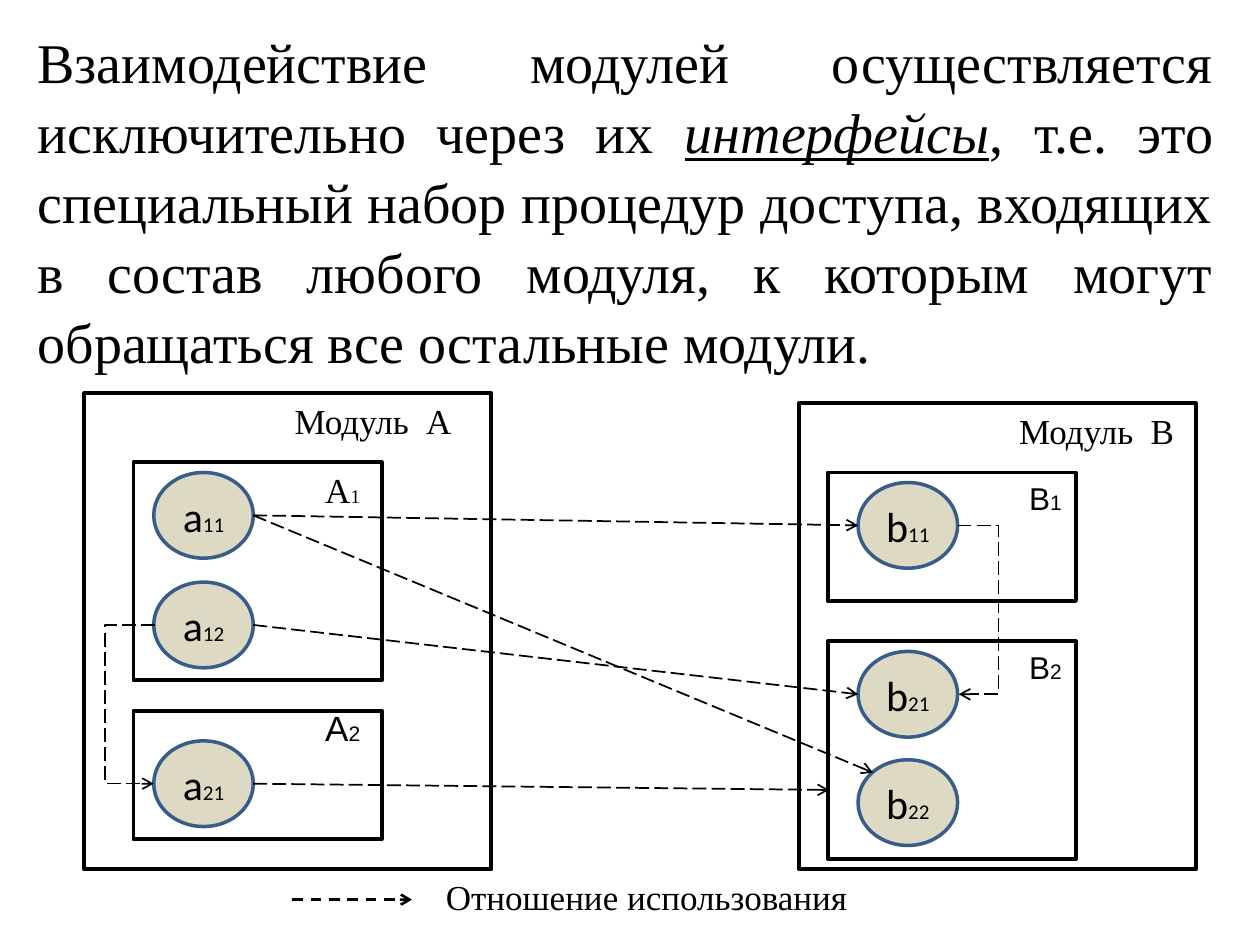
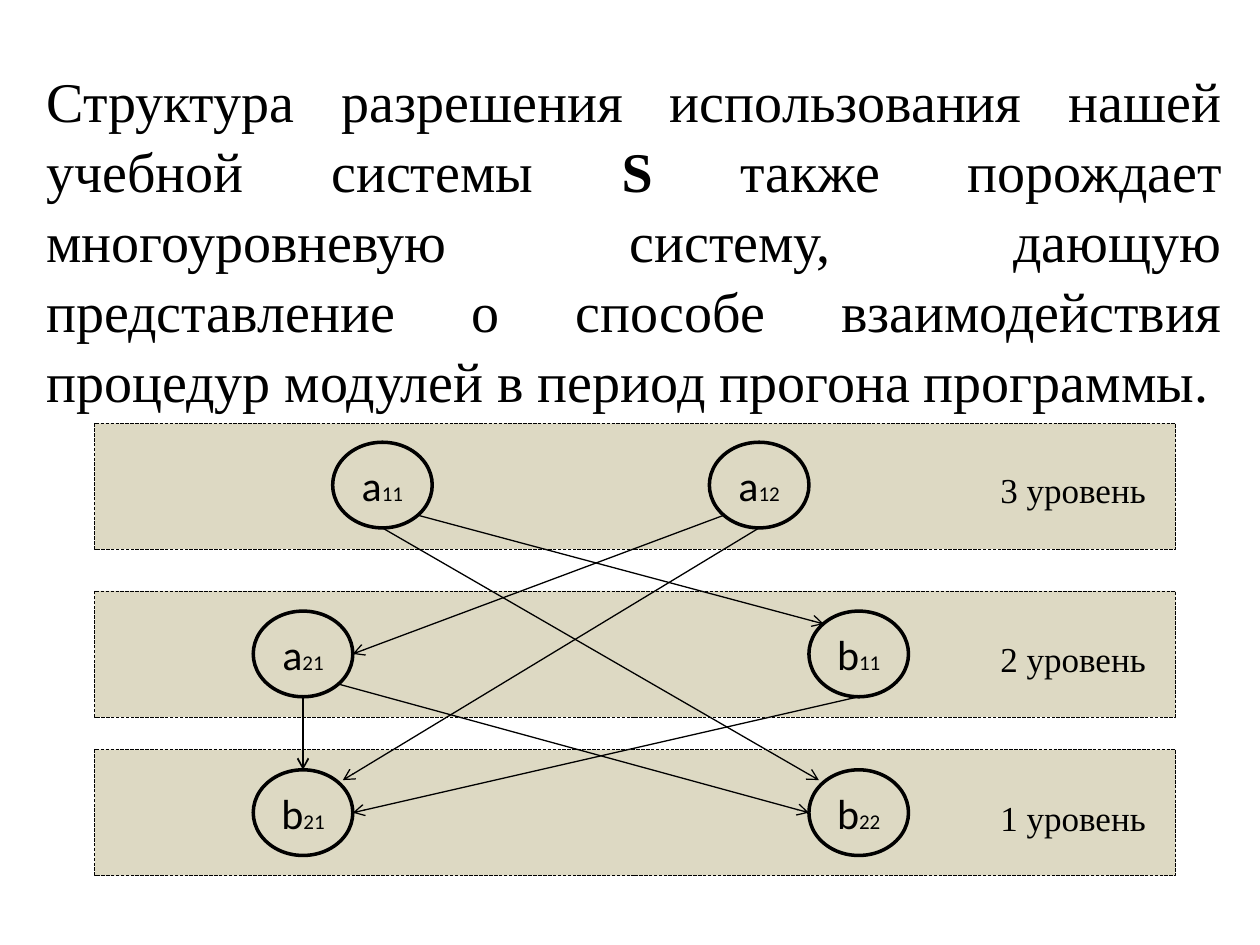
from lxml.etree import SubElement
from pptx import Presentation
from pptx.dml.color import RGBColor
from pptx.enum.dml import MSO_LINE
from pptx.enum.shapes import MSO_CONNECTOR, MSO_SHAPE
from pptx.enum.text import MSO_ANCHOR, PP_ALIGN
from pptx.oxml.ns import qn
from pptx.util import Pt

PX = 9144
BLACK = RGBColor(0x00, 0x00, 0x00)
WHITE = RGBColor(0xFF, 0xFF, 0xFF)
SAND = RGBColor(0xDD, 0xD9, 0xC3)
BLUE = RGBColor(0x38, 0x5D, 0x8A)
SERIF, SANS, NODE_FONT = "Times New Roman", "Arial", "Calibri"
NODE_WIDTH, NODE_HEIGHT = 79, 68
SITES = {
    "left": (0, 0.5), "right": (1, 0.5), "bottom": (0.5, 1),
    "top": (0.5, 0), "top left": (0.15, 0.15), "bottom left": (0.15, 0.85),
    "bottom right": (0.85, 0.85), "near left": (0.1, 0.12), "near right": (0.9, 0.12),
}


def write_text(frame, text, subscript="", size=20, small=12, font=SERIF,
               align=PP_ALIGN.LEFT, wrap=True, spacing=None, emphasis=None):
    frame.word_wrap = wrap
    para = frame.paragraphs[0]
    para.alignment = align
    if spacing:
        para.line_spacing = spacing
    parts = [(text, size), (subscript, small)]
    if emphasis:
        before, after = text.split(emphasis)
        parts = [(before, size), (emphasis, size), (after, size)]
    for words, points in parts:
        if words:
            span = para.add_run()
            span.text = words
            span.font.name = font
            span.font.size = Pt(points)
            span.font.color.rgb = BLACK
    return para


def draw_arrow(page, start, end, width, dash=None, bend_x=None):
    kind = MSO_CONNECTOR.STRAIGHT if bend_x is None else MSO_CONNECTOR.ELBOW
    arrow = page.shapes.add_connector(kind, *(round(value * PX) for value in (*start, *end)))
    arrow.line.color.rgb = BLACK
    arrow.line.width = Pt(width)
    if dash:
        arrow.line.dash_style = dash
    properties = arrow.line._get_or_add_ln()
    SubElement(properties, qn("a:tailEnd"), type="arrow")
    SubElement(arrow._element.spPr, qn("a:effectLst"))
    if bend_x is not None:
        ratio = round((bend_x - start[0]) / (end[0] - start[0]) * 100000)
        guides = arrow._element.spPr.find(qn("a:prstGeom")).find(qn("a:avLst"))
        SubElement(guides, qn("a:gd"), name="adj1", fmla=f"val {ratio}")


MODULES_PAGE = {
    "body": (20, 13, 953, 725),
    "text": "Взаимодействие модулей осуществляется исключительно через их интерфейсы, "
            "т.е. это специальный набор процедур доступа, входящих в состав любого модуля, "
            "к которым могут обращаться все остальные модули.",
    "emphasis": "интерфейсы",
    "frames": [(67, 312, 323, 378), (634, 320, 315, 370),
               (106, 367, 197, 173), (106, 564, 197, 102),
               (657, 375, 197, 102), (657, 509, 197, 173)],
    "frame_style": (WHITE, 2.25, None),
    "node_line": BLUE,
    "nodes": [("а", "11", 122, 375), ("а", "12", 122, 462), ("а", "21", 122, 588),
              ("b", "11", 681, 383), ("b", "21", 681, 517), ("b", "22", 681, 603)],
    "labels": [
        ((248, 556, 48, 44), dict(text="А", subscript="2", font=SANS,
                                  align=PP_ALIGN.CENTER, wrap=False)),
        ((248, 367, 48, 44), dict(text="А", subscript="1", small=11,
                                  align=PP_ALIGN.CENTER, wrap=False)),
        ((807, 375, 47, 40), dict(text="В", subscript="1", size=18, font=SANS)),
        ((807, 509, 47, 40), dict(text="В", subscript="2", size=18, font=SANS)),
        ((224, 312, 150, 44), dict(text="Модуль  А")),
        ((799, 320, 146, 44), dict(text="Модуль  В")),
        ((344, 690, 339, 44), dict(text="Отношение использования")),
    ],
    "arrows": [("а11", "right", "b11", "left"), ("а11", "right", "b22", "top left"),
               ("а12", "right", "b21", "left")],
    "arrow_style": (1, MSO_LINE.LONG_DASH),
}
LEVELS_PAGE = {
    "body": (27, 44, 953, 677),
    "text": "Структура разрешения использования нашей учебной системы S также порождает "
            "многоуровневую систему, дающую представление о способе взаимодействия "
            "процедур модулей в период прогона программы.",
    "emphasis": "S ",
    "frames": [(75, top, 858, 100) for top in (336, 469, 595)],
    "frame_style": (SAND, 0.25, MSO_LINE.LONG_DASH),
    "node_line": BLACK,
    "nodes": [("а", "11", 264, 351), ("а", "12", 563, 351), ("а", "21", 201, 485),
              ("b", "11", 642, 485), ("b", "21", 201, 611), ("b", "22", 642, 611)],
    "labels": [((784, top, 145, 44), dict(text=f"{level} уровень"))
               for level, top in ((1, 627), (2, 501), (3, 367))],
    "arrows": [("а11", "bottom right", "b11", "top left"),
               ("а11", "bottom", "b22", "near left"),
               ("а12", "bottom left", "а21", "right"),
               ("а12", "bottom", "b21", "near right"),
               ("а21", "bottom", "b21", "top"),
               ("b11", "bottom", "b21", "right"),
               ("а21", "bottom right", "b22", "left")],
    "arrow_style": (0.75, None),
}

deck = Presentation()
deck.slide_width, deck.slide_height = 1000 * PX, 750 * PX
pages = []
for content in (MODULES_PAGE, LEVELS_PAGE):
    page = deck.slides.add_slide(deck.slide_layouts[6])
    pages.append(page)
    body = page.shapes.add_textbox(*(value * PX for value in content["body"]))
    body.text_frame.margin_top = 7 * PX
    para = write_text(body.text_frame, content["text"], size=32, align=PP_ALIGN.JUSTIFY,
                      spacing=1.04, emphasis=content["emphasis"])
    accent = para.runs[1].font
    if content is MODULES_PAGE:
        accent.italic = accent.underline = True
    else:
        accent.bold = True

    fill, line_width, dash = content["frame_style"]
    outlines = [(MSO_SHAPE.RECTANGLE, area, fill, BLACK, line_width, dash, None)
                for area in content["frames"]]
    outlines += [(MSO_SHAPE.OVAL, (left, top, NODE_WIDTH, NODE_HEIGHT), SAND,
                  content["node_line"], 2, None, (letter, index))
                 for letter, index, left, top in content["nodes"]]
    for kind, area, fill, line_color, line_width, dash, name in outlines:
        box = page.shapes.add_shape(kind, *(value * PX for value in area))
        box.shadow.inherit = False
        box.fill.solid()
        box.fill.fore_color.rgb = fill
        box.line.color.rgb = line_color
        box.line.width = Pt(line_width)
        if dash:
            box.line.dash_style = dash
        if name:
            box.text_frame.vertical_anchor = MSO_ANCHOR.MIDDLE
            write_text(box.text_frame, *name, size=24, font=NODE_FONT,
                       align=PP_ALIGN.CENTER, wrap=False)

    for area, style in content["labels"]:
        label = page.shapes.add_textbox(*(value * PX for value in area))
        write_text(label.text_frame, **style)

    corners = {letter + index: (left, top) for letter, index, left, top in content["nodes"]}
    for source, source_site, target, target_site in content["arrows"]:
        start, end = (
            (corners[node][0] + SITES[site][0] * NODE_WIDTH,
             corners[node][1] + SITES[site][1] * NODE_HEIGHT)
            for node, site in ((source, source_site), (target, target_site)))
        width, dash = content["arrow_style"]
        if source_site == "bottom" and target_site == "top":
            width = 1
        draw_arrow(page, start, end, width, dash)

modules = pages[0]
draw_arrow(modules, (201, 622), (658, 627), 1, MSO_LINE.LONG_DASH)
draw_arrow(modules, (123, 496), (122, 622), 1, MSO_LINE.LONG_DASH, bend_x=83)
draw_arrow(modules, (760, 417), (761, 551), 1, MSO_LINE.LONG_DASH, bend_x=793)
draw_arrow(modules, (232, 714), (327, 714), 1.5, MSO_LINE.DASH)

deck.save("out.pptx")
